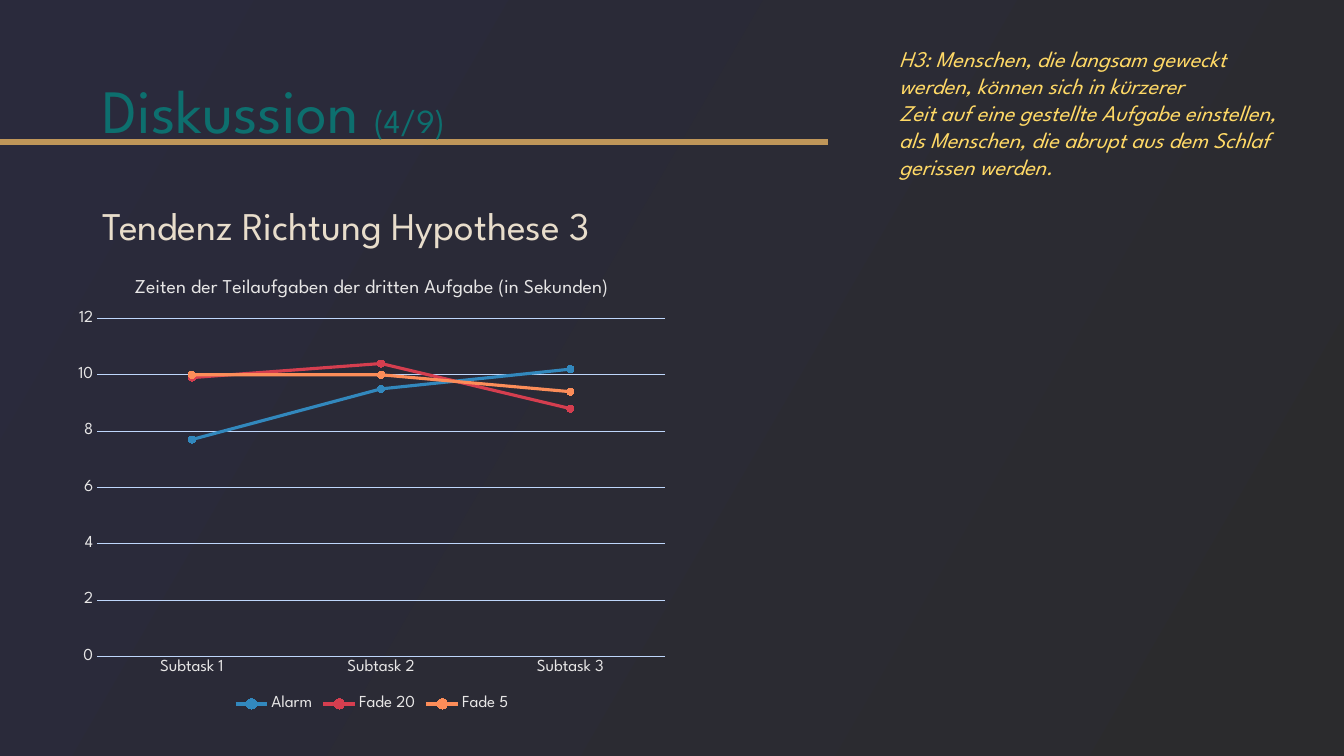
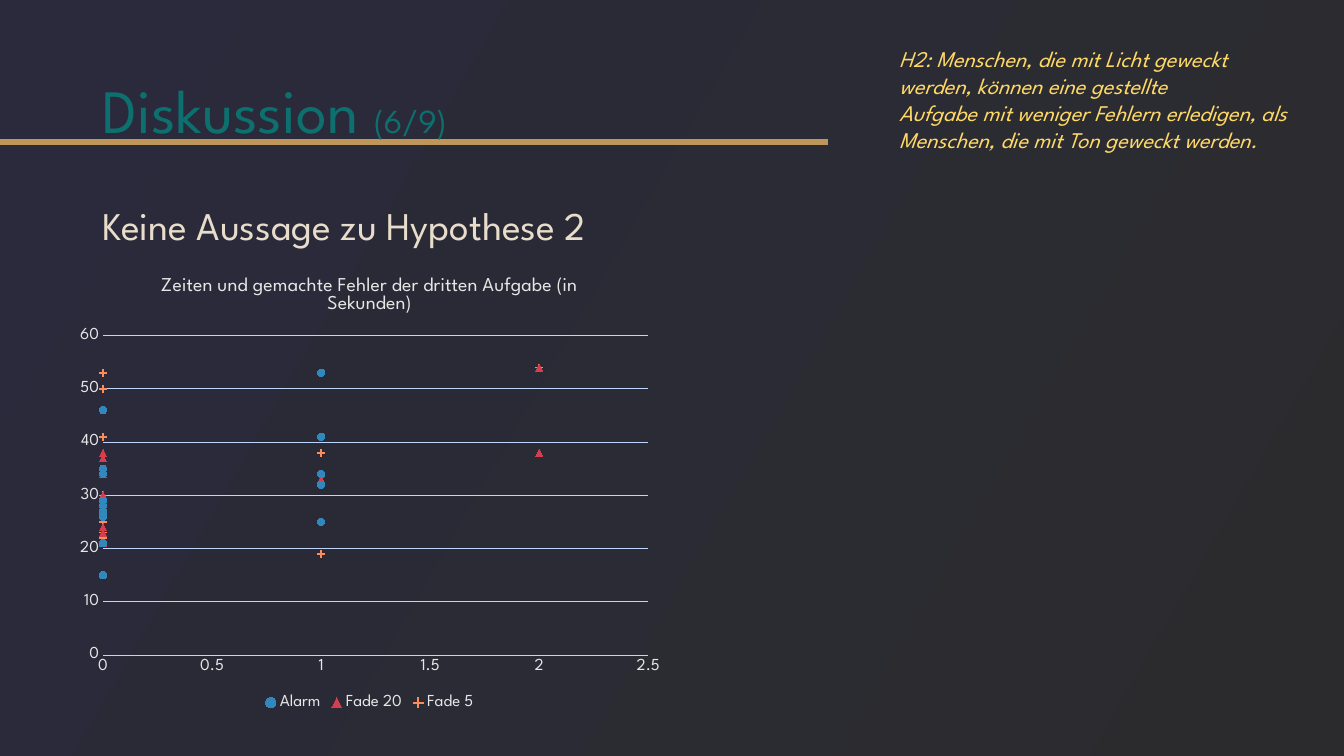
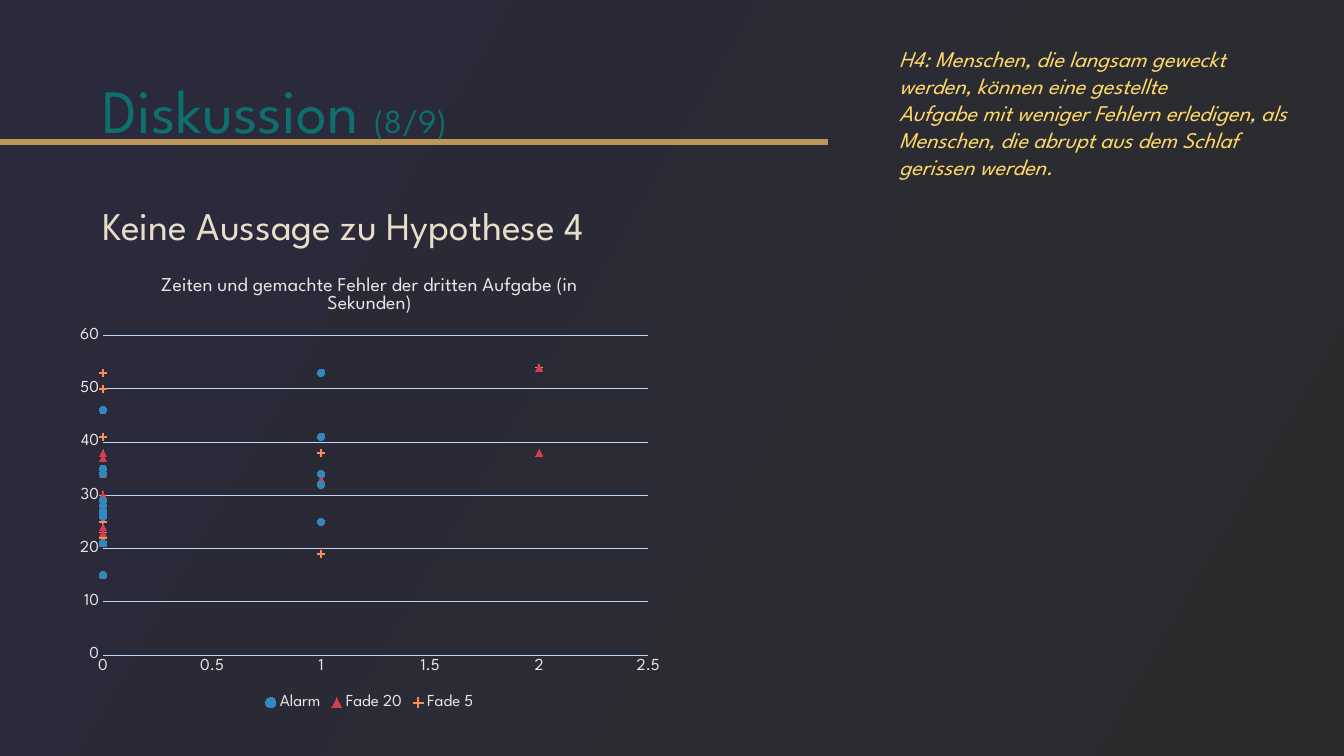
from dataclasses import dataclass

from lxml import etree
from pptx import Presentation
from pptx.chart.data import CategoryChartData, XyChartData
from pptx.dml.color import RGBColor
from pptx.enum.chart import XL_CHART_TYPE, XL_LEGEND_POSITION, XL_MARKER_STYLE, XL_TICK_MARK
from pptx.enum.shapes import MSO_CONNECTOR
from pptx.enum.text import MSO_ANCHOR, MSO_AUTO_SIZE, PP_ALIGN
from pptx.oxml.ns import qn
from pptx.util import Cm, Pt

LINE, SCATTER = XL_CHART_TYPE.LINE_MARKERS, XL_CHART_TYPE.XY_SCATTER
CIRCLE, TRIANGLE, PLUS = XL_MARKER_STYLE.CIRCLE, XL_MARKER_STYLE.TRIANGLE, XL_MARKER_STYLE.PLUS
BOTTOM, NO_TICK = XL_LEGEND_POSITION.BOTTOM, XL_TICK_MARK.NONE
LEFT, MIDDLE, TOP = PP_ALIGN.LEFT, MSO_ANCHOR.MIDDLE, MSO_ANCHOR.TOP


@dataclass(frozen=True)
class Theme:
    font: str = "League Spartan"
    back_start: str = "2A2A3C"
    back_end: str = "2B2B2D"
    rule: str = "BF9659"
    title: str = "0D6F6E"
    body: str = "E8DDCB"
    hypothesis: str = "FFD966"
    chart_text: str = "E7E6E6"
    grid: str = "BED6FB"
    series: tuple = ("3288BD", "D53E4F", "FC8D59")
    title_size: int = 44
    counter_size: int = 24
    body_size: int = 28
    hypothesis_size: int = 16
    chart_title_size: int = 14
    chart_size: int = 12


THEME = Theme()


def style_font(font, size, color, italic=False):
    formats = {"name": THEME.font, "size": Pt(size), "bold": False, "italic": italic}
    for name, value in formats.items():
        setattr(font, name, value)
    font.color.rgb = RGBColor.from_string(color)


def style_line(line, color, width):
    line.color.rgb = RGBColor.from_string(color)
    line.width = Pt(width)


# Chart contents
SERIES_NAMES = ("Alarm", "Fade 20", "Fade 5")

subtask_times = CategoryChartData()
subtask_times.categories = [f"Subtask {number}" for number in (1, 2, 3)]
for name, times in zip(SERIES_NAMES, [(7.7, 9.5, 10.2), (9.9, 10.4, 8.8), (10, 10, 9.4)]):
    subtask_times.add_series(name, times)

# All series share one error column; each fills its own block of rows
ERRORS = (
    0, 0, 0, 0, 0, 0, 0, 2, 1, 0, 0, 0, 0, 1, 0,
    2, 0, 0, 1, 0, 0, 0, 0, 0, 0, 0, 0, 0, 2, 0,
    0, 1, 0, 0, 0, 0, 0, 0, 1, 1, 0, 1, 1, 0, 0,
)
TIMES_BY_FIRST_ROW = {
    30: (34, 25, 28, 21, 29, 26, 46, 35, 32, 34, 35, 41, 53, 15, 27),
    15: (38, 24, 23, 33, 37, 34, 29, 30, 21, 23, 34, 34, 38, 54, 37),
    0: (22, 34, 29, 25, 53, 23, 41, 54, 19, 26, 30, 28, 29, 38, 50),
}
error_times = XyChartData()
for name, (first_row, times) in zip(SERIES_NAMES, TIMES_BY_FIRST_ROW.items()):
    series_data = error_times.add_series(name)
    rows = [None] * len(ERRORS)
    rows[first_row:first_row + len(times)] = times
    for error_count, seconds in zip(ERRORS, rows):
        series_data.add_data_point(error_count, seconds)

LINE_CHART = {
    "type": LINE, "data": subtask_times,
    "title": "Zeiten der Teilaufgaben der dritten Aufgabe (in Sekunden)",
    "frame": (1.68, 6.53, 15.39, 11.51),
    "plot": {"x": 0.05, "y": 0.13, "w": 0.93, "h": 0.74},
    "maximum": 12, "step": 2, "markers": (CIRCLE, CIRCLE, CIRCLE),
}
SCATTER_CHART = {
    "type": SCATTER, "data": error_times,
    "title": "Zeiten und gemachte Fehler der dritten Aufgabe (in Sekunden)",
    "frame": (1.68, 6.5, 15.27, 11.51),
    "plot": {"x": 0.06, "y": 0.17, "w": 0.9, "h": 0.7},
    "maximum": 60, "step": 10, "markers": (CIRCLE, TRIANGLE, PLUS),
}

PAGES = [
    ("(4/9)", "Tendenz Richtung Hypothese 3",
     ["H3: Menschen, die langsam geweckt werden, können sich in kürzerer",
      "Zeit auf eine gestellte Aufgabe einstellen, als Menschen, die abrupt aus dem Schlaf",
      "gerissen werden."], LINE_CHART),
    ("(6/9)", "Keine Aussage zu Hypothese 2",
     ["H2: Menschen, die mit Licht geweckt werden, können eine gestellte",
      "Aufgabe mit weniger Fehlern erledigen, als Menschen, die mit Ton geweckt werden."],
     SCATTER_CHART),
    ("(8/9)", "Keine Aussage zu Hypothese 4",
     ["H4: Menschen, die langsam geweckt werden, können eine gestellte",
      "Aufgabe mit weniger Fehlern erledigen, als Menschen, die abrupt aus dem Schlaf",
      "gerissen werden."], SCATTER_CHART),
]

# Shared background and placeholder positions
deck = Presentation()
deck.slide_width, deck.slide_height = Cm(33.87), Cm(19.05)
master = deck.slide_master
layout = deck.slide_layouts[1]

background = master.background.fill
background.gradient()
background.gradient_angle = 330
for stop, color, position in zip(background.gradient_stops,
                                 (THEME.back_start, THEME.back_end), (0, 1)):
    stop.color.rgb = RGBColor.from_string(color)
    stop.position = position

for placeholder, top, height in zip(layout.placeholders, (1.02, 5.08), (3.68, 12.09)):
    placeholder.left, placeholder.width = Cm(2.34), Cm(29.21)
    placeholder.top, placeholder.height = Cm(top), Cm(height)

pages = [deck.slides.add_slide(layout) for _ in PAGES]

# The rule is drawn on a page, then moved to the master
rule = pages[0].shapes.add_connector(MSO_CONNECTOR.STRAIGHT, 0, Cm(3.57), Cm(20.87), Cm(3.57))
style_line(rule.line, THEME.rule, 4.5)
etree.SubElement(rule.element.spPr, qn("a:effectLst"))
rule.element.nvCxnSpPr.cNvPr.set("id", "20")
master.shapes.element.append(rule.element)

for page, (counter, statement, hypothesis, chart_plan) in zip(pages, PAGES):
    title_frame = page.shapes.title.text_frame
    title_frame.vertical_anchor = MIDDLE
    para = title_frame.paragraphs[0]
    para.alignment, para.line_spacing = LEFT, 0.9
    for text, size in (("Diskussion ", THEME.title_size), (counter, THEME.counter_size)):
        span = para.add_run()
        span.text = text
        style_font(span.font, size, THEME.title)

    body_frame = page.placeholders[1].text_frame
    body_frame.vertical_anchor = TOP
    body_frame.text = statement
    para = body_frame.paragraphs[0]
    para.line_spacing, para.space_before = 0.9, Pt(0)
    properties = para._p.get_or_add_pPr()
    properties.set("marL", "0")
    properties.set("indent", "0")
    etree.SubElement(properties, qn("a:buNone"))
    style_font(para.runs[0].font, THEME.body_size, THEME.body)

    box = page.shapes.add_textbox(Cm(22.41), Cm(1.02), Cm(10.46), Cm(3.68))
    box.text_frame.word_wrap = True
    box.text_frame.auto_size = MSO_AUTO_SIZE.SHAPE_TO_FIT_TEXT
    box.text_frame.text = "\n".join(hypothesis)
    for para in box.text_frame.paragraphs:
        style_font(para.runs[0].font, THEME.hypothesis_size, THEME.hypothesis, italic=True)

    chart = page.shapes.add_chart(chart_plan["type"], *map(Cm, chart_plan["frame"]),
                                  chart_plan["data"]).chart
    for empty_point in chart.element.xpath('.//c:pt[c:v="None"]'):
        empty_point.getparent().remove(empty_point)
    chart.has_title = chart.has_legend = True
    chart.legend.position = BOTTOM
    chart.legend.include_in_layout = False
    chart.chart_title.text_frame.text = chart_plan["title"]
    style_font(chart.chart_title.text_frame.paragraphs[0].runs[0].font,
               THEME.chart_title_size, THEME.chart_text)
    across, upward = chart.category_axis, chart.value_axis
    for holder in (chart, chart.legend, across.tick_labels, upward.tick_labels):
        style_font(holder.font, THEME.chart_size, THEME.chart_text)

    for axis in (across, upward):
        axis.major_tick_mark = axis.minor_tick_mark = NO_TICK
    across.has_major_gridlines, upward.has_major_gridlines = False, True
    style_line(across.format.line, THEME.grid, 0.75)
    style_line(upward.major_gridlines.format.line, THEME.grid, 0.75)
    upward.format.line.fill.background()
    scales = [(upward, chart_plan["maximum"], chart_plan["step"])]
    if chart_plan["type"] == SCATTER:
        scales.append((across, 2.5, 0.5))
    for axis, maximum, step in scales:
        axis.minimum_scale, axis.maximum_scale, axis.major_unit = 0, maximum, step

    plot = chart.plots[0]
    plot.vary_by_categories = False
    for series, color, marker in zip(plot.series, THEME.series, chart_plan["markers"]):
        if chart_plan["type"] == LINE:
            series.smooth = False
            style_line(series.format.line, color, 2.25)
        else:
            series.format.line.fill.background()
        series.marker.style, series.marker.size = marker, 5
        series.marker.format.fill.solid()
        series.marker.format.fill.fore_color.rgb = RGBColor.from_string(color)
        style_line(series.marker.format.line, color, 0.75)

    plot_area = chart.element.xpath("c:chart/c:plotArea")[0]
    for automatic in plot_area.findall(qn("c:layout")):
        plot_area.remove(automatic)
    plot_layout = etree.Element(qn("c:layout"))
    plot_area.insert(0, plot_layout)
    manual = etree.SubElement(plot_layout, qn("c:manualLayout"))
    settings = {"layoutTarget": "inner", "xMode": "edge", "yMode": "edge", **chart_plan["plot"]}
    for name, value in settings.items():
        etree.SubElement(manual, qn(f"c:{name}")).set("val", str(value))

deck.save("out.pptx")
